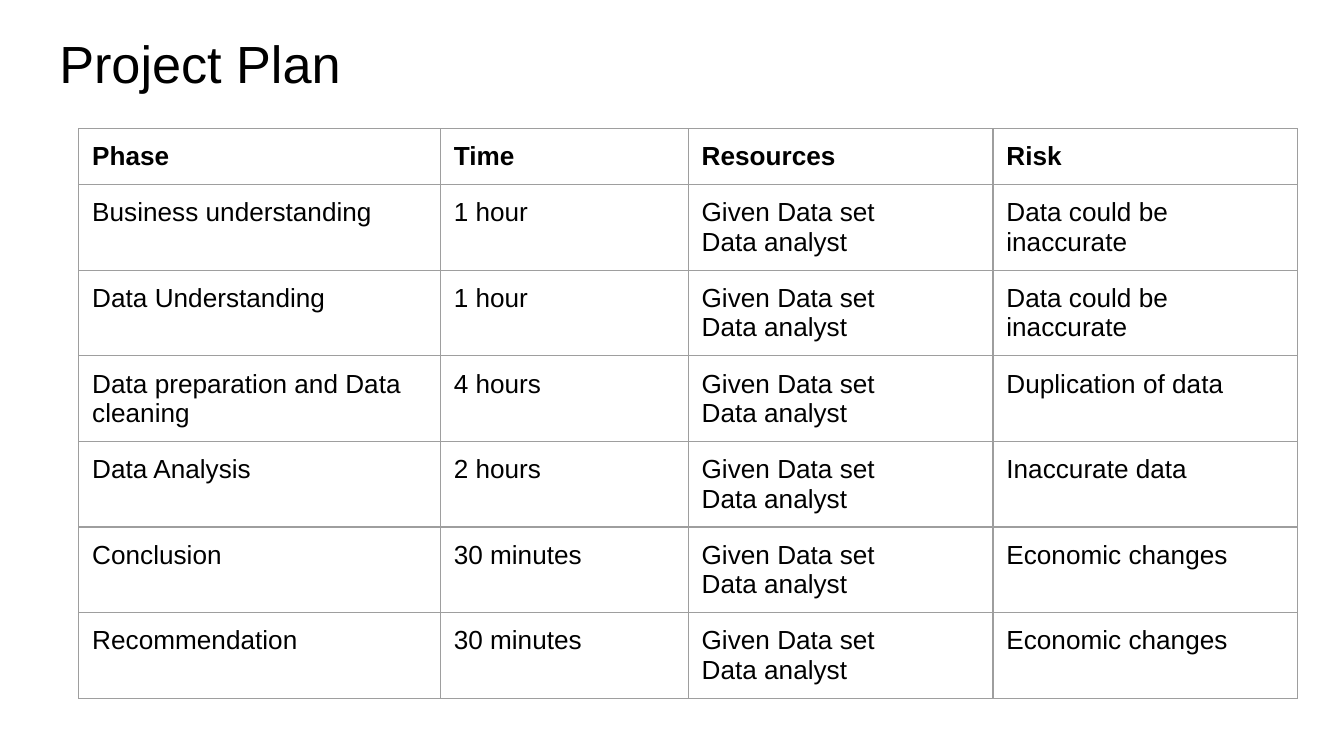
from lxml.etree import SubElement
from pptx import Presentation
from pptx.dml.color import RGBColor
from pptx.enum.text import MSO_ANCHOR
from pptx.oxml.ns import qn
from pptx.util import Pt

BLACK = RGBColor(0x00, 0x00, 0x00)
GRAY = RGBColor(0x9E, 0x9E, 0x9E)


class PlanSlide:
    font = "Arial"
    inset = Pt(7.2)
    border = Pt(0.75)

    def __init__(self, prs):
        self.s = prs.slides.add_slide(prs.slide_layouts[6])

    def style(self, tf, size, bold=False):
        for p in tf.paragraphs:
            for r in p.runs:
                r.font.name = self.font
                r.font.size = Pt(size)
                r.font.bold = bold
                r.font.color.rgb = BLACK

    def pad(self, box, bottom):
        box.margin_left = box.margin_right = box.margin_top = self.inset
        box.margin_bottom = Pt(bottom)

    def title(self, text, x, y, w, h):
        sp = self.s.shapes.add_textbox(Pt(x), Pt(y), Pt(w), Pt(h))
        tf = sp.text_frame
        tf.word_wrap = True
        tf.vertical_anchor = MSO_ANCHOR.MIDDLE
        self.pad(tf, 10.4)
        tf.text = text
        self.style(tf, 28)

    def outline(self, cell):
        tcPr = cell._tc.get_or_add_tcPr()
        for i, side in enumerate(("lnL", "lnR", "lnT", "lnB")):
            ln = tcPr.makeelement(qn(f"a:{side}"), {"w": str(self.border)})
            fill = SubElement(ln, qn("a:solidFill"))
            SubElement(fill, qn("a:srgbClr"), val=str(GRAY))
            tcPr.insert(i, ln)

    def table(self, rows, x, y, widths, row_h):
        frame = self.s.shapes.add_table(
            len(rows), len(widths), Pt(x), Pt(y),
            Pt(sum(widths)), Pt(row_h * len(rows)))
        tbl = frame.table
        tbl.first_row = tbl.horz_banding = False
        for col, w in zip(tbl.columns, widths):
            col.width = Pt(w)
        for i, row in enumerate(rows):
            tbl.rows[i].height = Pt(row_h)
            for j, text in enumerate(row):
                cell = tbl.cell(i, j)
                self.pad(cell, 5)
                cell.fill.background()
                cell.text_frame.text = text
                self.style(cell.text_frame, 14, bold=i == 0)
                self.outline(cell)


RESOURCES = "Given Data set\nData analyst"
PHASES = [
    ("Business understanding", "1 hour", "Data could be inaccurate"),
    ("Data Understanding", "1 hour", "Data could be inaccurate"),
    ("Data preparation and Data cleaning", "4 hours", "Duplication of data"),
    ("Data Analysis", "2 hours", "Inaccurate data"),
    ("Conclusion", "30 minutes", "Economic changes"),
    ("Recommendation", "30 minutes", "Economic changes"),
]

prs = Presentation()
prs.slide_width, prs.slide_height = Pt(720), Pt(405)
plan = PlanSlide(prs)
plan.title("Project Plan", 24.7, 9.4, 671, 51.8)
rows = [("Phase", "Time", "Resources", "Risk")]
rows += [(phase, time, RESOURCES, risk) for phase, time, risk in PHASES]
plan.table(rows, 42.2, 69, [193.7, 132.8, 163.3, 163.3], 30)
prs.save("out.pptx")
